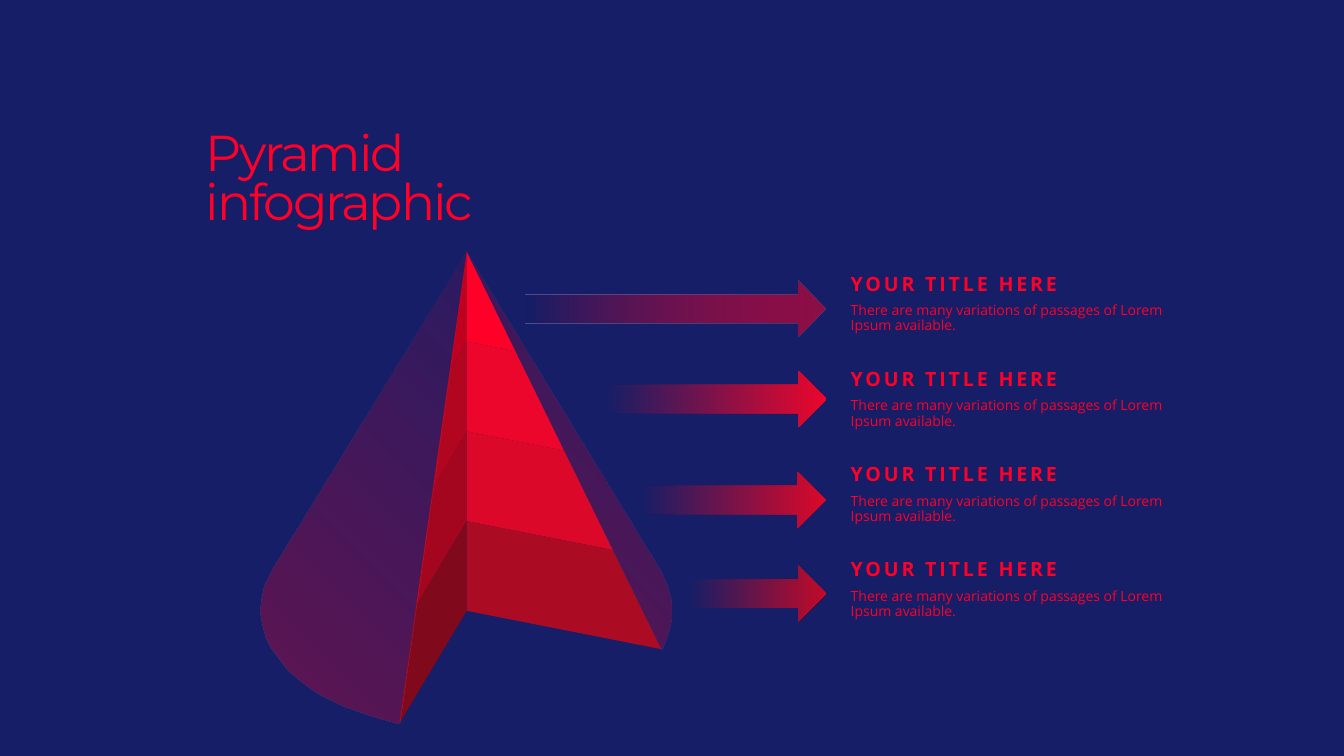
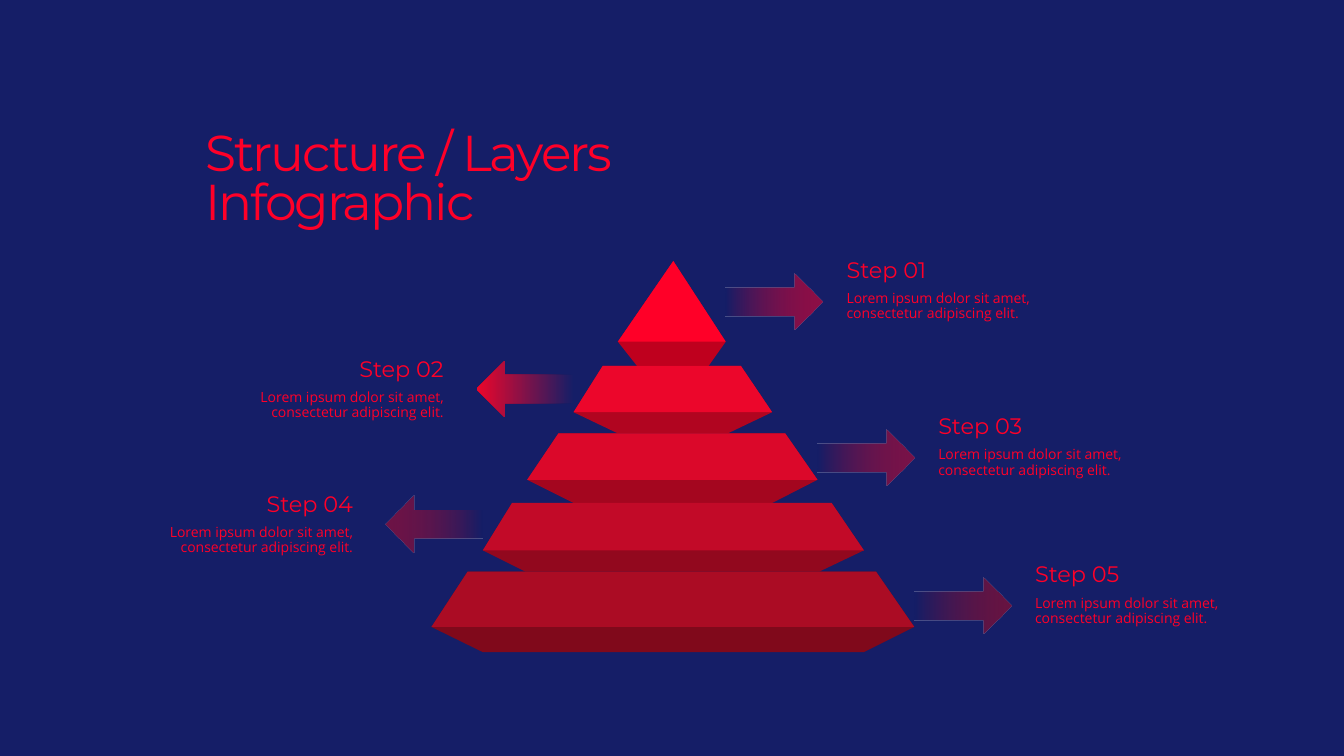
"""Build two pyramid infographic slides on a grid of tenth-inch cells."""
from dataclasses import dataclass
from typing import Any

from lxml import etree
from pptx import Presentation
from pptx import util as u
from pptx.dml.color import RGBColor
from pptx.enum import shapes, text
from pptx.oxml.ns import qn

Point = tuple[float, float]

CELL = u.Inches(0.1)
COLUMNS, ROWS = 133.33, 75
COLOURS = {
    "navy": "151E67", "red": "FF0028",
    "lit1": "FF0028", "lit2": "EC062B", "lit3": "DB082A", "lit4": "C20A28", "lit5": "AB0C24",
    "shade1": "BF001E", "shade2": "B10520", "shade3": "A4061F", "shade4": "92081E", "shade5": "80091B",
}
TITLE_FRAME = {
    "margin_left": 0, "margin_top": u.Inches(0.21), "margin_right": 0, "margin_bottom": 0,
    "vertical_anchor": text.MSO_ANCHOR.TOP, "auto_size": text.MSO_AUTO_SIZE.NONE, "word_wrap": True,
}
CAPTION_FRAME = {"word_wrap": True, "auto_size": text.MSO_AUTO_SIZE.SHAPE_TO_FIT_TEXT}
WIDE_FRAME = CAPTION_FRAME | {
    "margin_left": u.Inches(0.13), "margin_right": u.Inches(0.13), "margin_bottom": u.Inches(0.07),
}
TITLE_FONT = {"name": "Montserrat", "size": u.Pt(36), "bold": False}
HEADING_FONT = {"name": "Open Sans", "size": u.Pt(14), "bold": True}
STEP_FONT = {"name": "Montserrat", "size": u.Pt(16), "bold": False}
BODY_FONT = {"name": "Open Sans", "size": u.Pt(10), "bold": False}

ARROW_HEIGHT = 5.6
STEP_ARROW_WIDTH = 9.6
STEP_TEXT_WIDTH = 27.3

APEX: Point = (46.3, 25)
SPINE_FOOT: Point = (46.3, 60.6)
LEFT_FOOT: Point = (39.6, 71.8)
RIGHT_FOOT: Point = (65.6, 64.4)
WALL_TIERS = (1, 2, 3, 5)
LEFT_FLANK: list[Point] = [
    APEX, (27, 56.5), (26.2, 58.1), (25.9, 59.5), (25.8, 60.7), (26, 62), (26.4, 63.4),
    (26.9, 64.3), (27.7, 65.4), (28.5, 66.4), (29.5, 67.3), (30.8, 68.3), (31.6, 68.8),
    (34, 70), (36.8, 71), LEFT_FOOT,
]
RIGHT_FLANK: list[Point] = [
    APEX, (65.5, 56.6), (66.1, 57.9), (66.5, 59.3), (66.6, 60.2), (66.6, 61.2),
    (66.3, 62.5), (65.9, 63.6), RIGHT_FOOT,
]


@dataclass(frozen=True)
class Arrow:
    left: float
    top: float
    width: float
    colour: str
    alpha: int = 100
    flipped: bool = False


@dataclass(frozen=True)
class Span:
    left: float
    right: float
    row: float


@dataclass(frozen=True)
class Layer:
    top: Span
    rim: Span
    base: Span
    arrow_top: float
    alpha: int


POINTERS = (
    Arrow(52.1, 27.8, 29.8, "red", 51),
    Arrow(60, 36.8, 22, "lit2"),
    Arrow(63.5, 46.8, 18.4, "lit3"),
    Arrow(68.3, 56.1, 13.7, "lit4"),
)
LAYERS = (
    Layer(Span(66.8, 66.8, 25.9), Span(61.3, 72, 33.9), Span(63.2, 70.3, 36.3), 27.1, 51),
    Layer(Span(59.8, 73.5, 36.3), Span(56.9, 76.6, 40.9), Span(61.3, 72.2, 43), 35.8, 100),
    Layer(Span(55.4, 77.9, 43), Span(52.3, 81.1, 47.6), Span(56.9, 76.6, 49.9), 42.6, 50),
    Layer(Span(50.8, 82.5, 49.9), Span(47.9, 85.7, 54.6), Span(52.1, 81.3, 56.7), 49.2, 51),
    Layer(Span(46.4, 86.9, 56.7), Span(42.8, 90.7, 62.2), Span(47.9, 85.7, 64.7), 57.3, 55),
)


def cells(*counts: float) -> list[int]:
    """Turn grid cells into slide lengths."""
    return [round(count * CELL) for count in counts]


def rgb(name: str) -> RGBColor:
    """Look up a named colour."""
    return RGBColor.from_string(COLOURS[name])


def apply(target: Any, values: dict[str, Any]) -> None:
    """Set every attribute listed in a dict of format values."""
    for name, value in values.items():
        setattr(target, name, value)


def write(para: Any, words: str, font: dict[str, Any], spacing: float = 0) -> None:
    """Add one red run with the given font and letter spacing in points."""
    span = para.add_run()
    span.text = words
    apply(span.font, font)
    span.font.color.rgb = rgb("red")
    if spacing:
        span._r.get_or_add_rPr().set("spc", str(round(spacing * 100)))


def shade(shape: Any, stops: list[tuple[str, int]], radial: bool = False) -> None:
    """Fill a shape with a two-stop gradient, across or from the lower left corner."""
    shape.fill.gradient()
    shape.fill.gradient_angle = 0
    for stop, (colour, alpha) in zip(shape.fill.gradient_stops, stops):
        stop.color.rgb = rgb(colour)
        if alpha < 100:
            value = stop._gs.find(qn("a:srgbClr"))
            etree.SubElement(value, qn("a:alpha"), val=str(alpha * 1000))
    if radial:
        linear = shape._element.spPr.find(f".//{qn('a:lin')}")
        circle = etree.Element(qn("a:path"), path="circle")
        etree.SubElement(circle, qn("a:fillToRect"), l="0", t="100000", r="100000", b="0")
        linear.getparent().replace(linear, circle)


def add_polygon(page: Any, points: list[Point], colour: str = "") -> Any:
    """Draw a closed outline, filled if a colour is named."""
    start, *rest = [tuple(cells(*point)) for point in points]
    builder = page.shapes.build_freeform(*start, scale=1.0)
    builder.add_line_segments(rest, close=True)
    shape = builder.convert_to_shape()
    shape.shadow.inherit = False
    shape.line.fill.background()
    if colour:
        shape.fill.solid()
        shape.fill.fore_color.rgb = rgb(colour)
    return shape


def add_arrow(page: Any, arrow: Arrow) -> None:
    """Draw a block arrow that fades in from the background."""
    shape = page.shapes.add_shape(
        shapes.MSO_SHAPE.RIGHT_ARROW, *cells(arrow.left, arrow.top, arrow.width, ARROW_HEIGHT))
    shape.shadow.inherit = False
    shape.line.fill.background()
    shade(shape, [("navy", 100), (arrow.colour, arrow.alpha)])
    if arrow.flipped:
        shape._element.spPr.xfrm.set("flipH", "1")


def add_caption(page: Any, area: tuple[float, float, float, float], heading: str, body: str,
                frame: dict[str, Any], font: dict[str, Any], spacing: float = 0,
                align: text.PP_ALIGN = text.PP_ALIGN.LEFT) -> None:
    """Draw a heading with its text below."""
    box = page.shapes.add_textbox(*cells(*area)).text_frame
    apply(box, frame)
    first, second = box.paragraphs[0], box.add_paragraph()
    for para in (first, second):
        apply(para, {"alignment": align, "line_spacing": 0.9})
    second.space_before = u.Pt(6)
    write(first, heading, font, spacing)
    write(second, body, BODY_FONT)


def add_page(deck: Any, title: str) -> Any:
    """Add a slide with the shared title style."""
    page = deck.slides.add_slide(deck.slide_layouts.get_by_name("Title Only"))
    box = page.shapes.title
    apply(box, dict(zip(("left", "top", "width", "height"), cells(20.4, 11.1, 46.2, 17.7))))
    apply(box.text_frame, TITLE_FRAME)
    para = box.text_frame.paragraphs[0]
    apply(para, {"alignment": text.PP_ALIGN.LEFT, "line_spacing": 0.8})
    write(para, title, TITLE_FONT, -1.5)
    return page


def along(end: Point, step: int) -> Point:
    """Give the point that many tiers down the edge from the apex."""
    share = step / len(WALL_TIERS)
    return APEX[0] + (end[0] - APEX[0]) * share, APEX[1] + (end[1] - APEX[1]) * share


def add_wall(page: Any, foot: Point, family: str) -> None:
    """Draw the tiers of one inner wall between the spine and an outer edge."""
    for step, tier in enumerate(WALL_TIERS):
        points = [along(SPINE_FOOT, step), along(SPINE_FOOT, step + 1), along(foot, step + 1)]
        if step:
            points.append(along(foot, step))
        add_polygon(page, points, f"{family}{tier}")


def add_cone_page(deck: Any) -> None:
    """Build the open cone with four pointers."""
    page = add_page(deck, "Pyramid infographic")
    add_wall(page, LEFT_FOOT, "shade")
    for flank in (LEFT_FLANK, RIGHT_FLANK):
        shade(add_polygon(page, flank), [("red", 33), ("red", 10)], radial=True)
    add_wall(page, RIGHT_FOOT, "lit")
    for row, arrow in enumerate(POINTERS):
        add_arrow(page, arrow)
        add_caption(page, (83.1, 26.7 + 9.44 * row, 35.2, 7.7), "YOUR TITLE HERE",
                    "There are many variations of passages of Lorem Ipsum available.",
                    WIDE_FRAME, HEADING_FONT, 2)


def add_layer(page: Any, layer: Layer, number: int) -> None:
    """Draw the underside and the face of one layer."""
    top, rim, base = layer.top, layer.rim, layer.base
    face = [(top.left, top.row), (top.right, top.row), (rim.right, rim.row), (rim.left, rim.row)]
    under = face[:3] + [(base.right, base.row), (base.left, base.row)] + face[3:]
    add_polygon(page, under, f"shade{number}")
    add_polygon(page, face, f"lit{number}")


def add_step(page: Any, layer: Layer, number: int) -> None:
    """Draw the arrow and caption of one layer, even numbers on the left."""
    flipped = number % 2 == 0
    if flipped:
        arrow_left = layer.rim.left - STEP_ARROW_WIDTH
        text_left, lift, align = arrow_left - 29.6, 0.8, text.PP_ALIGN.RIGHT
    else:
        arrow_left = layer.rim.right
        text_left, lift, align = arrow_left + 11, 1.9, text.PP_ALIGN.LEFT
    add_arrow(page, Arrow(arrow_left, layer.arrow_top, STEP_ARROW_WIDTH, f"lit{number}",
                          layer.alpha, flipped))
    add_caption(page, (text_left, layer.arrow_top - lift, STEP_TEXT_WIDTH, 7.9),
                f"Step {number:02}", "Lorem ipsum dolor sit amet, consectetur adipiscing elit.",
                CAPTION_FRAME, STEP_FONT, align=align)


def add_layers_page(deck: Any) -> None:
    """Build the layered pyramid with five steps."""
    page = add_page(deck, "Structure / Layers Infographic")
    for draw in (add_layer, add_step):
        for number, layer in enumerate(LAYERS, 1):
            draw(page, layer, number)


def main() -> None:
    """Build and save the deck."""
    deck = Presentation()
    deck.slide_width, deck.slide_height = cells(COLUMNS, ROWS)
    backdrop = deck.slide_master.background.fill
    backdrop.solid()
    backdrop.fore_color.rgb = rgb("navy")
    add_cone_page(deck)
    add_layers_page(deck)
    deck.save("out.pptx")


if __name__ == "__main__":
    main()
